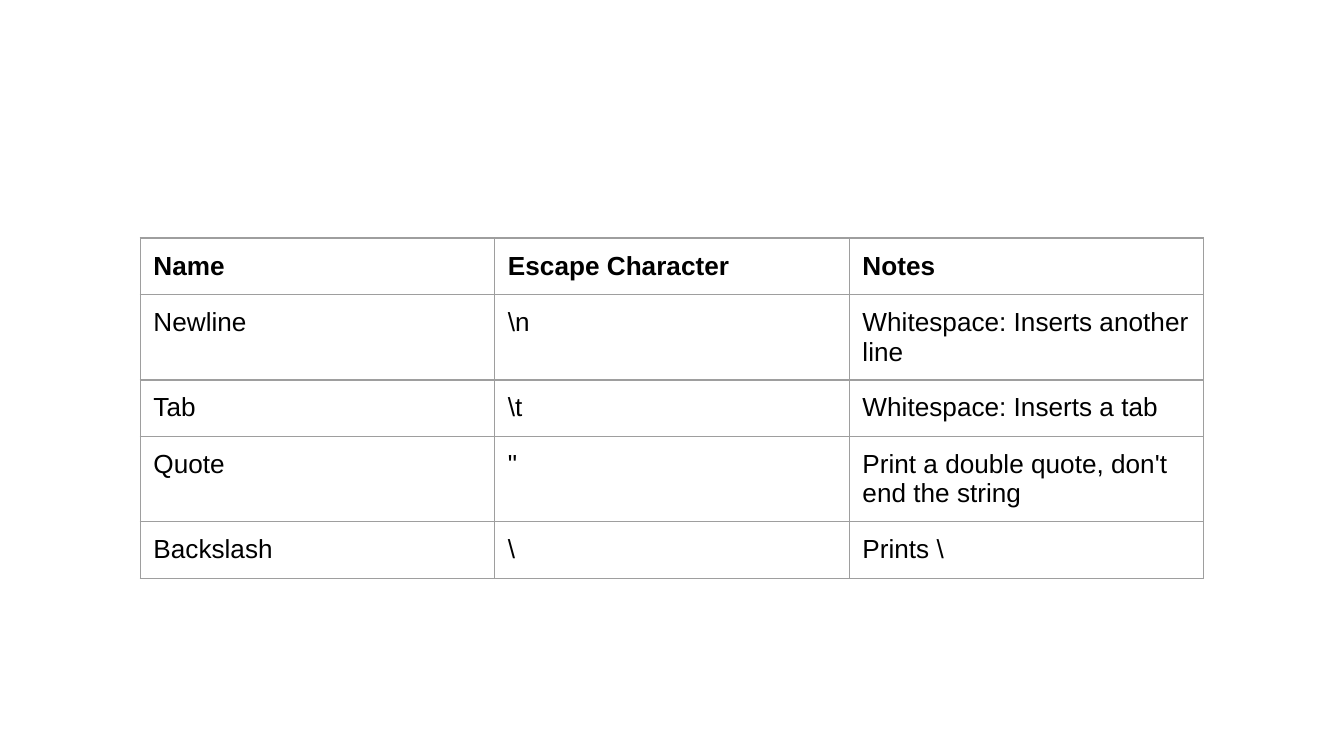
from lxml import etree
from pptx import Presentation
from pptx.dml.color import RGBColor
from pptx.oxml.ns import qn
from pptx.util import Cm, Pt


def color(code):
    return RGBColor.from_string(code)


def border(cell, code, width):
    props = cell._tc.get_or_add_tcPr()
    for side in ("lnL", "lnR", "lnT", "lnB"):
        line = etree.SubElement(props, qn("a:" + side), w=str(Pt(width)))
        fill = etree.SubElement(line, qn("a:solidFill"))
        etree.SubElement(fill, qn("a:srgbClr"), val=code)


ROWS = [
    ("Name", "Escape Character", "Notes"),
    ("Newline", r"\n", "Whitespace: Inserts another line"),
    ("Tab", r"\t", "Whitespace: Inserts a tab"),
    ("Quote", '"', "Print a double quote, don't end the string"),
    ("Backslash", "\\", r"Prints \ ".strip()),
]
FONT = {"name": "Arial", "size": Pt(14)}
INSET = Cm(0.25)
PAD = {"margin_" + side: INSET for side in ("left", "right", "top", "bottom")}
FLAGS = {"first_row": False, "horz_banding": False}
WIDE, HIGH = 6.7, 1.07

deck = Presentation()
deck.slide_width, deck.slide_height = Cm(25.4), Cm(14.29)
slide = deck.slides.add_slide(deck.slide_layouts[6])
table = slide.shapes.add_table(
    len(ROWS), 3, Cm(2.65), Cm(4.5), Cm(3 * WIDE), Cm(len(ROWS) * HIGH)
).table
for key, value in FLAGS.items():
    setattr(table, key, value)
for col in table.columns:
    col.width = Cm(WIDE)

for i, row in enumerate(ROWS):
    table.rows[i].height = Cm(HIGH)
    for j, text in enumerate(row):
        cell = table.cell(i, j)
        for key, value in PAD.items():
            setattr(cell, key, value)
        border(cell, "9E9E9E", 0.75)
        cell.fill.background()
        run = cell.text_frame.paragraphs[0].add_run()
        run.text = text
        for key, value in FONT.items():
            setattr(run.font, key, value)
        run.font.bold = i == 0
        run.font.color.rgb = color("000000")

deck.save("out.pptx")
